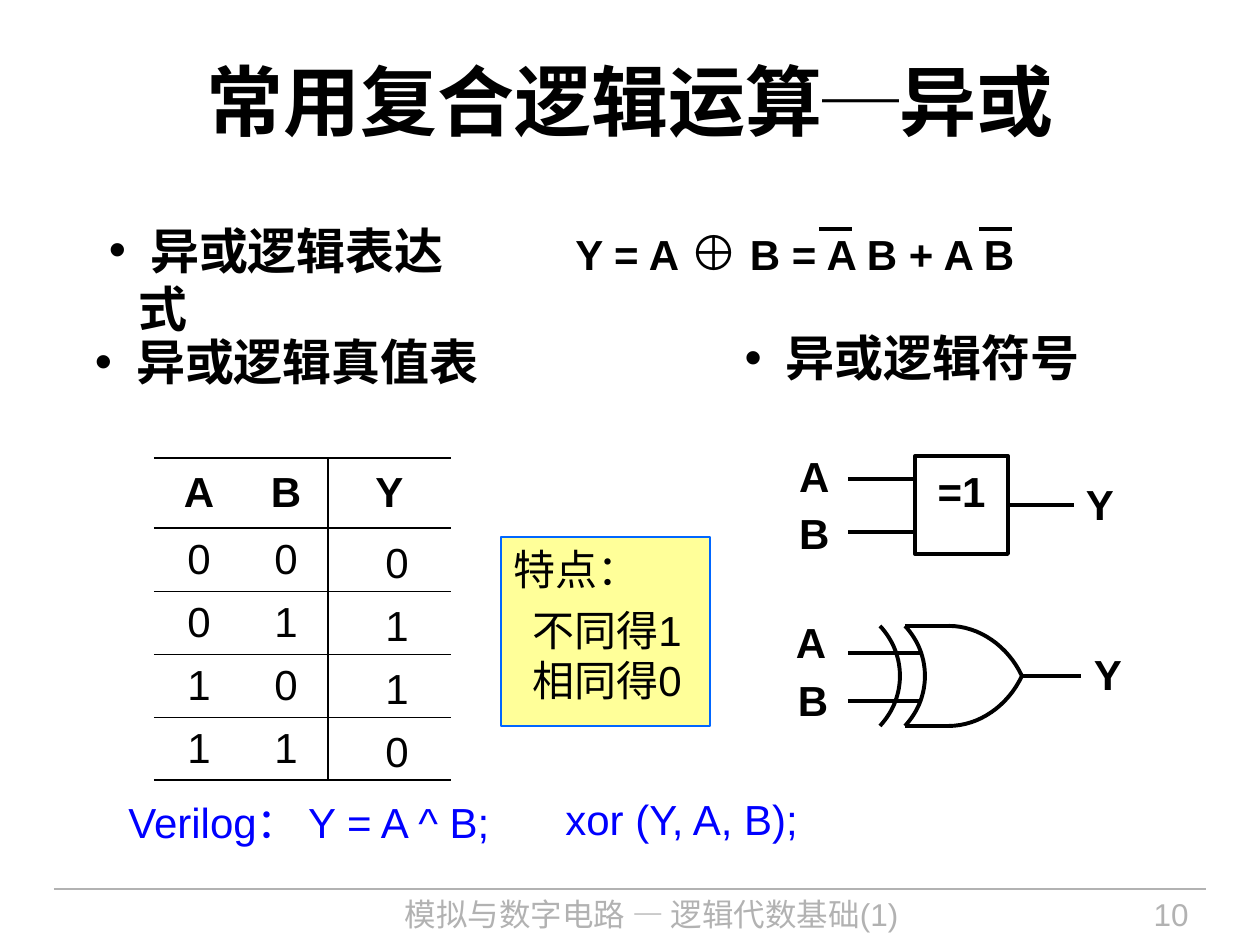
from lxml import etree
from pptx import Presentation
from pptx.dml.color import RGBColor
from pptx.enum.shapes import MSO_CONNECTOR, MSO_SHAPE
from pptx.enum.text import MSO_ANCHOR, MSO_AUTO_SIZE, PP_ALIGN
from pptx.oxml.ns import qn
from pptx.util import Inches, Pt

PX = 7257  # EMU in one px, 126 px to the inch
STRAIGHT = MSO_CONNECTOR.STRAIGHT
RECTANGLE = MSO_SHAPE.RECTANGLE
TOP, MIDDLE = MSO_ANCHOR.TOP, MSO_ANCHOR.MIDDLE
LEFT, CENTER, RIGHT = PP_ALIGN.LEFT, PP_ALIGN.CENTER, PP_ALIGN.RIGHT
FIXED = MSO_AUTO_SIZE.NONE

BLACK = RGBColor(0x00, 0x00, 0x00)
GREY = RGBColor(0xB2, 0xB2, 0xB2)
CODE_BLUE = RGBColor(0x00, 0x00, 0xFF)
FRAME_BLUE = RGBColor(0x00, 0x66, 0xFF)
NOTE_YELLOW = RGBColor(0xFF, 0xFF, 0x99)
CJK_FONT = "Noto Sans CJK SC"


def write(paragraph, text, size=24, font="Arial", bold=False, color=BLACK,
          align=LEFT, spacing=None, before=None, after=None):
    """Append one formatted run to the paragraph."""
    paragraph.alignment = align
    paragraph.line_spacing = spacing
    if before is not None:
        paragraph.space_before = Pt(before)
    if after is not None:
        paragraph.space_after = Pt(after)
    run = paragraph.add_run()
    run.text = text
    run.font.size = Pt(size)
    run.font.bold = bold
    run.font.color.rgb = color
    run.font.name = font
    east_asian = etree.Element(qn("a:ea"), typeface=CJK_FONT)
    run.font._element.find(qn("a:latin")).addnext(east_asian)


def text_area(left, top, width, height, margin=True):
    """Add a wrapping text box and return its first paragraph."""
    frame = slide.shapes.add_textbox(
        left * PX, top * PX, width * PX, height * PX).text_frame
    frame.word_wrap = True
    if not margin:
        frame.margin_left = frame.margin_right = 0
        frame.margin_top = frame.margin_bottom = 0
    return frame.paragraphs[0]


prs = Presentation()
prs.slide_width, prs.slide_height = Inches(10), Inches(7.5)
slide = prs.slides.add_slide(prs.slide_layouts[4])
title, *bodies = slide.placeholders

# Title
title.left, title.top, title.width, title.height = 63 * PX, 21 * PX, 1134 * PX, 158 * PX
title.text_frame.auto_size = FIXED
title.text_frame.vertical_anchor = MIDDLE
for part, font in (("常用复合逻辑运算", "Arial"), ("─", "Times New Roman"), ("异或", "Arial")):
    write(title.text_frame.paragraphs[0], part, size=44, font=font, bold=True, align=CENTER)

# Section bullets: text, left, top, width, height, side margin, top margin, align, spacing
sections = [
    (" 异或逻辑表达式", 96, 214, 397, 72, 13, 6, LEFT, 1.0),
    (" 异或逻辑真值表", 95, 338, 435, 53, 0, 0, LEFT, 0.9),
    (" 异或逻辑符号", 730, 334, 364, 53, 0, 0, CENTER, 0.9),
]
for body, (text, left, top, width, height, side, edge, align, spacing) in zip(bodies, sections):
    body.left, body.top, body.width, body.height = left * PX, top * PX, width * PX, height * PX
    frame = body.text_frame
    frame.auto_size = FIXED
    frame.vertical_anchor = TOP
    frame.margin_left = frame.margin_right = side * PX
    frame.margin_top = frame.margin_bottom = edge * PX
    heading = frame.paragraphs[0]
    properties = heading._p.get_or_add_pPr()
    properties.set("marL", str(30 * PX))
    properties.set("indent", str(-30 * PX))
    etree.SubElement(properties, qn("a:buFont"), typeface="Arial")
    etree.SubElement(properties, qn("a:buChar"), char="•")
    write(heading, text, size=28, font=CJK_FONT, bold=True, align=align,
          spacing=spacing, before=0)
unused = bodies[-1]._element
unused.getparent().remove(unused)

# Expression
expression = text_area(563, 215, 490, 72)
for part, size in (("Y = A ", 24), ("⊕", 28), (" B = A B + A B", 24)):
    write(expression, part, size=size, bold=True)

# Feature note
note = slide.shapes.add_shape(RECTANGLE, 501 * PX, 537 * PX, 209 * PX, 189 * PX)
note.shadow.inherit = False
note.fill.solid()
note.fill.fore_color.rgb = NOTE_YELLOW
note.line.color.rgb = FRAME_BLUE
note.line.width = Pt(1.5)
note.text_frame.vertical_anchor = TOP
write(note.text_frame.paragraphs[0], "特点：")
for rule, before in (("不同得1", 6), ("相同得0", 0)):
    rule_line = note.text_frame.add_paragraph()
    rule_line._p.get_or_add_pPr().set("marL", str(19 * PX))
    write(rule_line, rule, before=before)

# Gate symbols
gate = slide.shapes.add_shape(RECTANGLE, 915 * PX, 456 * PX, 93 * PX, 98 * PX)
gate.shadow.inherit = False
gate.fill.background()
gate.line.color.rgb = BLACK
gate.line.width = Pt(2.25)

for label, left, top, width in (
        ("A", 799, 456, 30), ("B", 799, 513, 30), ("Y", 1085, 484, 30), ("=1", 927, 471, 69),
        ("A", 789, 622, 44), ("B", 791, 680, 44), ("Y", 1086, 654, 44)):
    write(text_area(left, top, width, 45, margin=False), label,
          bold=True, align=CENTER, spacing=0.9)

# Horizontal lines: start, end, y, colour, weight, shape joined at the start
strokes = [(54, 1206, 889, GREY, 0.75, None), (1008, 1074, 505, BLACK, 2.25, gate)]
strokes += [(start, end, y, BLACK, 2.25, None) for start, end, y in (
    (819, 852, 229), (979, 1012, 229),                    # negation bars
    (848, 915, 479), (848, 915, 532),                     # box gate inputs
    (848, 920, 653), (848, 920, 701), (1022, 1081, 676),  # curved gate pins
    (905, 953, 626), (905, 953, 726))]                    # curved gate edges
for start, end, y, color, weight, joined in strokes:
    stroke = slide.shapes.add_connector(STRAIGHT, start * PX, y * PX, end * PX, y * PX)
    if joined is not None:
        stroke.begin_connect(joined, 3)
    stroke.line.color.rgb = color
    stroke.line.width = Pt(weight)
    etree.SubElement(stroke._element.spPr, qn("a:effectLst"))

# Curved gate outline: each arc is a chain of cubic Bézier control points
back = [(905, 626), (919, 641), (925, 659), (925, 676), (925, 693), (919, 711), (905, 726)]
front_top = [(949, 626), (979, 626), (1008, 646), (1022, 676)]
front_bottom = [(x, 2 * 676 - y) for x, y in front_top]
outer_back = [(x - 25, y) for x, y in back]
STEPS = 16
for arc in (front_top, front_bottom, back, outer_back):
    points = [arc[0]]
    for first in range(0, len(arc) - 1, 3):
        controls = arc[first:first + 4]
        for step in range(1, STEPS + 1):
            t = step / STEPS
            weights = ((1 - t) ** 3, 3 * t * (1 - t) ** 2, 3 * t * t * (1 - t), t ** 3)
            points.append([sum(w * c[axis] for w, c in zip(weights, controls))
                           for axis in (0, 1)])
    points = [(round(x * PX), round(y * PX)) for x, y in points]
    builder = slide.shapes.build_freeform(*points[0])
    builder.add_line_segments(points[1:], close=False)
    curve = builder.convert_to_shape()
    curve.shadow.inherit = False
    curve.fill.background()
    curve.line.color.rgb = BLACK
    curve.line.width = Pt(2.25)

# Truth table: inputs with rules, and the output values laid over the last column
inputs = [["A", "B", "Y"], ["0", "0", ""], ["0", "1", ""], ["1", "0", ""], ["1", "1", ""]]
outputs = [["0"], ["1"], ["1"], ["0"]]
THICK, THIN = 1.08, 0.45
row_rules = [THICK, THICK, THIN, THIN, THIN, THICK]
for rows, left, top, widths, heights, ruled in (
        (inputs, 154, 458, [90, 84, 123], [70, 63, 63, 63, 63], True),
        (outputs, 338, 532, [118], [63] * 4, False)):
    table = slide.shapes.add_table(len(rows), len(widths), left * PX, top * PX,
                                   sum(widths) * PX, sum(heights) * PX).table
    table.first_row = table.horz_banding = False
    for column, width in zip(table.columns, widths):
        column.width = width * PX
    for r, values in enumerate(rows):
        table.rows[r].height = heights[r] * PX
        for c, value in enumerate(values):
            cell = table.cell(r, c)
            cell.vertical_anchor = MIDDLE
            write(cell.text_frame.paragraphs[0], value, bold=ruled and r == 0,
                  align=CENTER, after=6)
            edges = {"a:lnL": THICK if c == 2 else 0, "a:lnR": THICK if c == 1 else 0,
                     "a:lnT": row_rules[r], "a:lnB": row_rules[r + 1]}
            cell_properties = cell._tc.get_or_add_tcPr()
            for tag, weight in edges.items():
                edge = etree.SubElement(cell_properties, qn(tag))
                if ruled and weight:
                    edge.set("w", str(Pt(weight)))
                    fill = etree.SubElement(edge, qn("a:solidFill"))
                    etree.SubElement(fill, qn("a:srgbClr"), val=str(BLACK))
                else:
                    etree.SubElement(edge, qn("a:noFill"))
            cell.fill.background()

# Verilog forms and footer
write(text_area(116, 790, 426, 63), "Verilog： Y = A ^ B;", color=CODE_BLUE)
write(text_area(553, 787, 266, 63), "xor (Y, A, B);", color=CODE_BLUE)
write(text_area(314, 889, 675, 55), "模拟与数字电路 — 逻辑代数基础(1)",
      size=18, color=GREY, align=CENTER)
write(text_area(1033, 889, 168, 55), "10", size=18, color=GREY, align=RIGHT)

prs.save("out.pptx")
